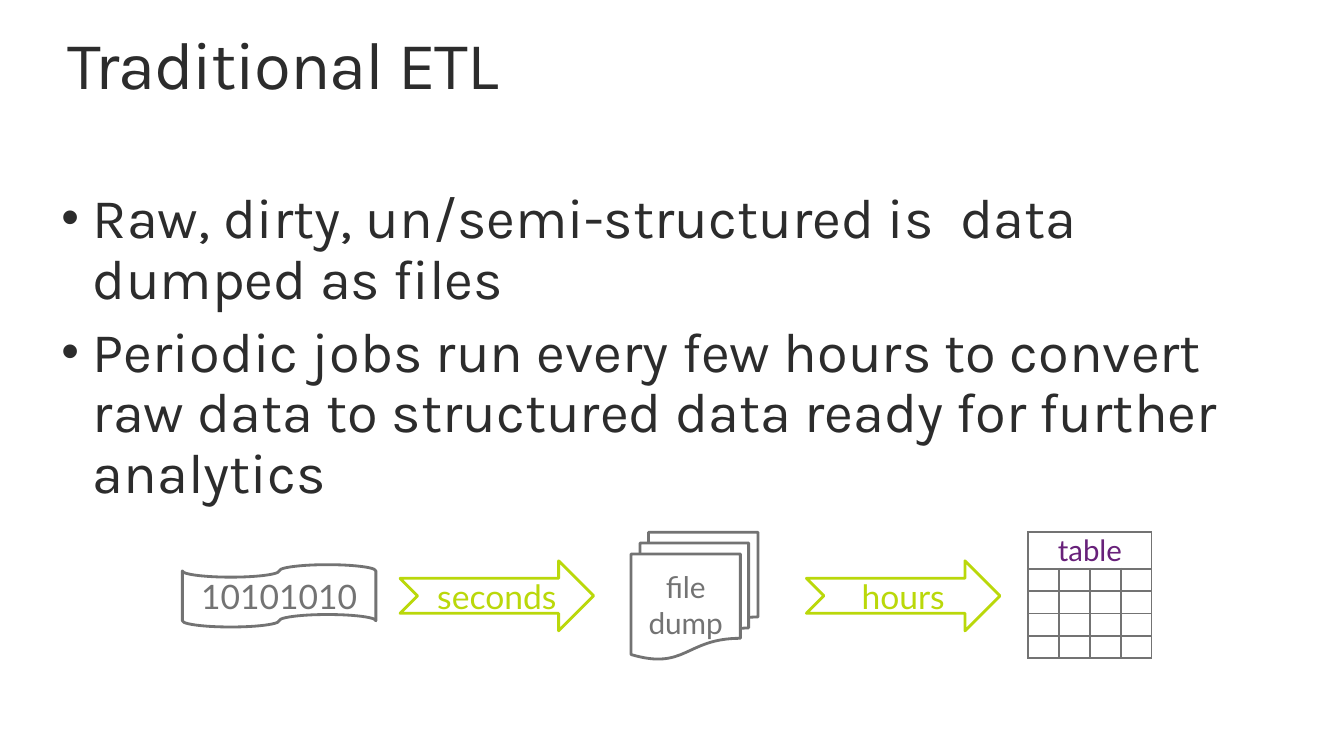
import pptx
import pptx.util
import pptx.dml.color
import pptx.enum.shapes
import pptx.enum.text
import pptx.oxml
import pptx.oxml.ns
import lxml.etree
from dataclasses import dataclass

Pt = pptx.util.Pt
SHAPE = pptx.enum.shapes.MSO_SHAPE
ALIGN = pptx.enum.text.PP_ALIGN
ANCHOR = pptx.enum.text.MSO_ANCHOR


@dataclass(frozen=True)
class Theme:
    ink: str = "2C2C2C"
    gray: str = "737373"
    lime: str = "BAD80A"
    purple: str = "68217A"
    main_font: str = "Karla"
    label_font: str = "Lato"
    title: float = 48
    body: float = 40
    label: float = 24
    file: float = 21.3
    table: float = 21
    blank_cell: float = 8
    line: float = 2
    border: float = 1.5


T = Theme()


def rgb(color):
    return pptx.dml.color.RGBColor.from_string(color)


def sub(parent, tag, **attrs):
    el = lxml.etree.SubElement(parent, pptx.oxml.ns.qn(tag))
    for name, value in attrs.items():
        el.set(name, str(value))
    return el


def write(tf, text, size, color, font=T.label_font, align=ALIGN.CENTER,
          anchor=ANCHOR.MIDDLE, margins=(9.4, 4.7), spacing=None,
          before=0, bullet=None, track=None):
    """Fill a text frame, one paragraph per line of text."""
    tf.word_wrap = True
    tf.auto_size = pptx.enum.text.MSO_AUTO_SIZE.NONE
    tf.vertical_anchor = anchor
    tf.margin_left = tf.margin_right = Pt(margins[0])
    tf.margin_top = tf.margin_bottom = Pt(margins[1])
    for i, line in enumerate(text.split("\n")):
        p = tf.add_paragraph() if i else tf.paragraphs[0]
        p.alignment = align
        p.space_before = Pt(before if i else 0)
        if spacing:
            p.line_spacing = spacing
        if bullet:
            pPr = p._p.get_or_add_pPr()
            pPr.set("marL", str(Pt(22.5)))
            pPr.set("indent", str(-Pt(22.5)))
            sub(pPr, "a:buSzPct", val=90000)
            sub(pPr, "a:buFont", typeface="Arial")
            sub(pPr, "a:buChar", char=bullet)
        r = p.add_run()
        r.text = line
        r.font.size = Pt(size)
        r.font.name = font
        r.font.color.rgb = rgb(color)
        if track:
            r._r.get_or_add_rPr().set("spc", str(int(track * 100)))


def add_title(s, x, y, w, h):
    sp = s.shapes.title
    sp.left, sp.top, sp.width, sp.height = Pt(x), Pt(y), Pt(w), Pt(h)
    write(sp.text_frame, "Traditional ETL", T.title, T.ink, font=T.main_font,
          align=ALIGN.LEFT, anchor=ANCHOR.TOP, margins=(11.5, 7.2),
          spacing=0.9, track=-0.8)


def add_bullets(s, x, y, w, h):
    lines = ("Raw, dirty, un/semi-structured is  data dumped as files",
             "Periodic jobs run every few hours to convert raw data to "
             "structured data ready for further analytics")
    sp = s.shapes.add_textbox(Pt(x), Pt(y), Pt(w), Pt(h))
    write(sp.text_frame, "\n".join(lines), T.body, T.ink, font=T.main_font,
          align=ALIGN.LEFT, anchor=ANCHOR.TOP, margins=(7.2, 3.6),
          spacing=0.9, before=9, bullet="•")


def add_grid(s, x, y, w, h, head=26, rows=5, cols=4):
    table = s.shapes.add_table(rows, cols, Pt(x), Pt(y), Pt(w), Pt(h)).table
    for col in table.columns:
        col.width = Pt(w / cols)
    for i, row in enumerate(table.rows):
        row.height = Pt((h - head) / (rows - 1) if i else head)
    table.cell(0, 0).merge(table.cell(0, cols - 1))
    for cell in table.iter_cells():
        cell.margin_left = cell.margin_right = 0
        cell.margin_top = cell.margin_bottom = 0
        cell.text_frame.paragraphs[0].font.size = Pt(T.blank_cell)
        tcPr = cell._tc.get_or_add_tcPr()
        for side in ("a:lnL", "a:lnR", "a:lnT", "a:lnB"):
            ln = sub(tcPr, side, w=Pt(T.border))
            sub(sub(ln, "a:solidFill"), "a:srgbClr", val=T.gray)
        cell.fill.background()
    # Header cell
    cell = table.cell(0, 0)
    cell.vertical_anchor = ANCHOR.MIDDLE
    cell.margin_left = cell.margin_right = Pt(9.4)
    p = cell.text_frame.paragraphs[0]
    p.alignment = ALIGN.CENTER
    r = p.add_run()
    r.text = "table"
    r.font.size = Pt(T.table)
    r.font.name = T.label_font
    r.font.color.rgb = rgb(T.purple)


def add_pipeline(s, x, y, w, h):
    """Steps run left to right, all centred on the middle of the box."""
    steps = (
        (SHAPE.FLOWCHART_MULTIDOCUMENT, 320.5, h, h, "file\ndump", T.file, T.gray),
        (SHAPE.NOTCHED_RIGHT_ARROW, 155.5, 138.25, 50, "seconds", T.label, T.lime),
        (SHAPE.NOTCHED_RIGHT_ARROW, 445.75, 138.25, 50, "hours", T.label, T.lime),
        (SHAPE.FLOWCHART_PUNCHED_TAPE, 0, 138.25, 44.5, "10101010", T.label, T.gray),
    )
    for kind, dx, step_w, step_h, text, size, color in steps:
        sp = s.shapes.add_shape(kind, Pt(x + dx), Pt(y + (h - step_h) / 2),
                                Pt(step_w), Pt(step_h))
        sp.shadow.inherit = False
        sp.fill.background()
        sp.line.color.rgb = rgb(color)
        sp.line.width = Pt(T.line)
        write(sp.text_frame, text, size, color)
    # Resulting table at the right end
    grid_w = 88
    add_grid(s, x + w - grid_w, y, grid_w, 90)


def main():
    prs = pptx.Presentation()
    prs.slide_width, prs.slide_height = Pt(960), Pt(540)
    s = prs.slides.add_slide(prs.slide_layouts[5])
    add_title(s, 36.75, 15, 860.5, 98)
    add_bullets(s, 36.75, 132.5, 881.25, 380)
    add_pipeline(s, 130.25, 380.25, 692.25, 90.75)
    prs.save("out.pptx")


if __name__ == "__main__":
    main()
